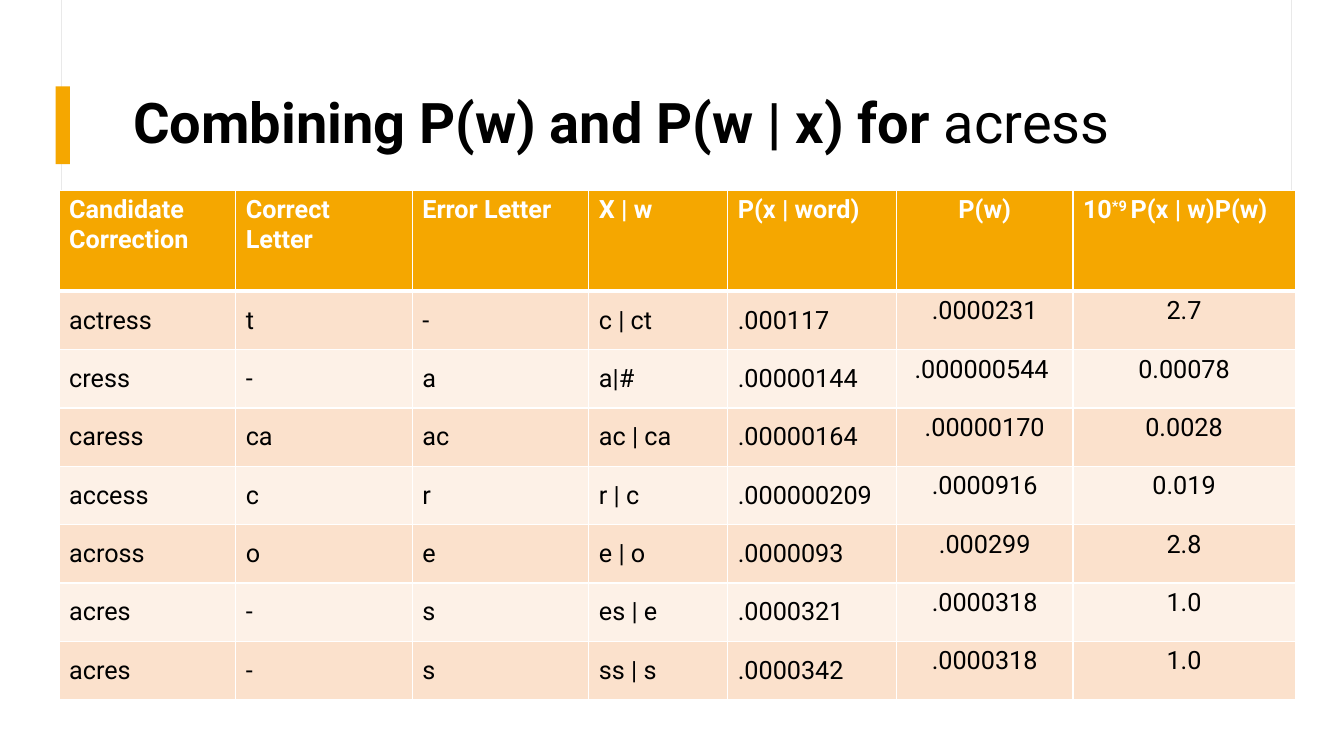
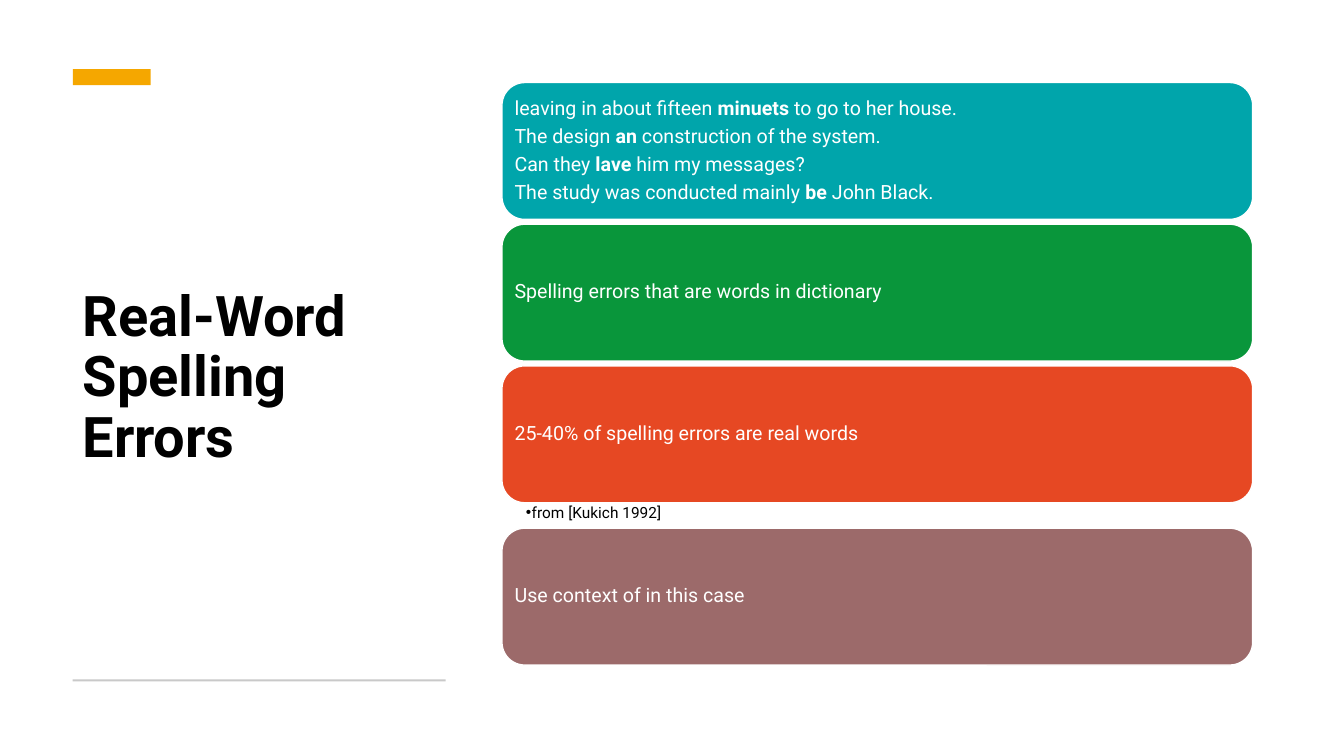
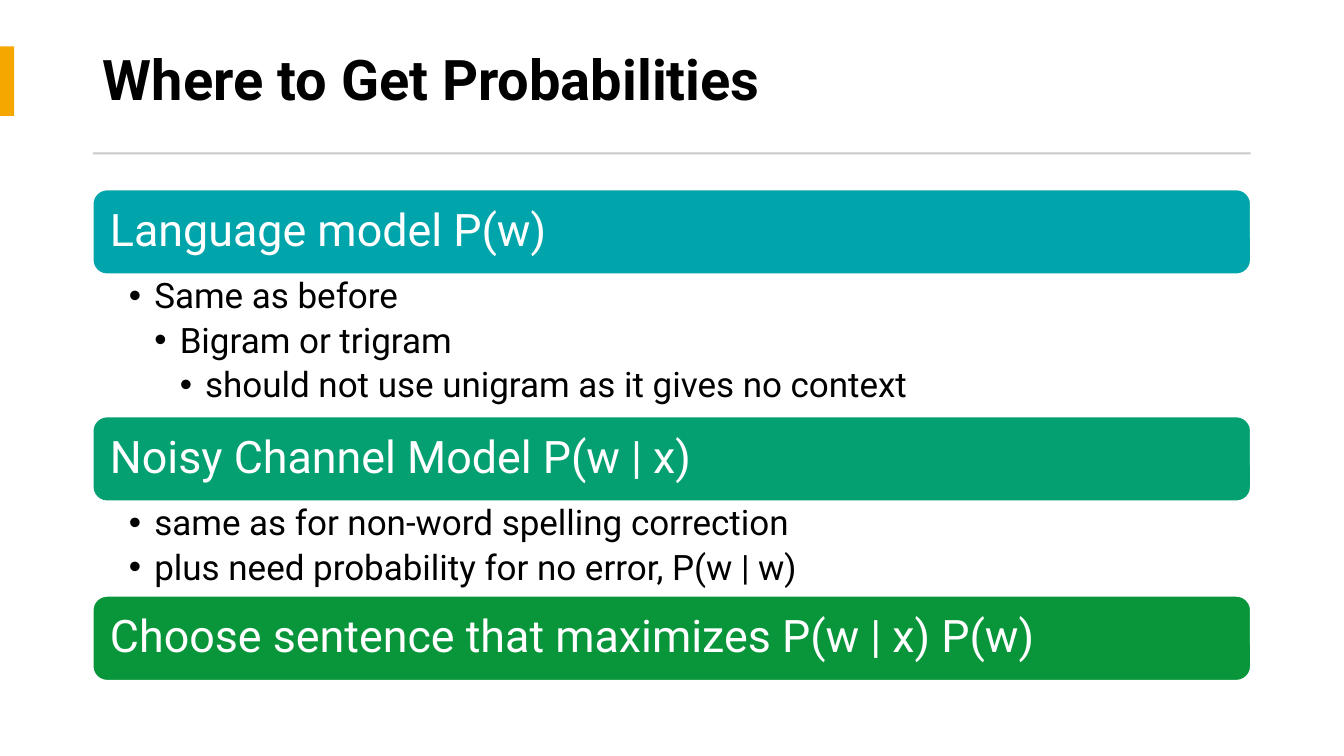
"""Build three slides on spelling correction with a noisy channel model."""
from lxml import etree
from pptx import Presentation
from pptx import util as u
from pptx.dml import color as dml
from pptx.enum import shapes, text
from pptx.oxml import ns

GOLD, GREY, WHITE, BLACK = "F5A700", "C9C9C9", "FFFFFF", "000000"
TEAL, MINT, GREEN, RED, MAUVE = "00A5AB", "05A071", "09963B", "E64823", "9C6A6A"
PEACH, CREAM = "FBE1CC", "FDF1E7"
TOP, MID = text.MSO_ANCHOR.TOP, text.MSO_ANCHOR.MIDDLE
LEFT, CENTER = text.PP_ALIGN.LEFT, text.PP_ALIGN.CENTER


def paint(fill, tone):
    fill.solid()
    fill.fore_color.rgb = dml.RGBColor.from_string(tone)


def put(frame, lines, size=18, tone=BLACK, bold=False, align=LEFT, anchor=MID,
        pads=None, lead=None, after=0, step=0, sup=False):
    """Write lines; "_" toggles bold (or superscript), leading tabs set the level."""
    frame.word_wrap = True
    frame.vertical_anchor = anchor
    if pads:
        (frame.margin_left, frame.margin_top,
         frame.margin_right, frame.margin_bottom) = map(u.Cm, pads)
    for i, line in enumerate(lines):
        para = frame.add_paragraph() if i else frame.paragraphs[0]
        if step:
            level = line.count("\t") + 1
            para.level = level
            props = para._p.get_or_add_pPr()
            props.set("marL", str(u.Cm(step * level)))
            props.set("indent", str(-u.Cm(step)))
            etree.SubElement(props, ns.qn("a:buChar")).set("char", "•")
        para.alignment = align
        para.line_spacing = lead
        para.space_before = u.Pt(0)
        para.space_after = u.Pt(after)
        for j, part in enumerate(line.strip("\t").split("_")):
            run = para.add_run()
            run.text = part
            font = run.font
            font.name, font.size = "Roboto", u.Pt(size)
            mark = j % 2 == 1
            font.bold = bold if sup else bold != mark
            paint(font.fill, tone)
            if sup and mark:
                run._r.get_or_add_rPr().set("baseline", "30000")


prs = Presentation()
prs.slide_width, prs.slide_height = u.Cm(33.87), u.Cm(19.05)

heads = [
    (5, "Combining P(w) and P(w | x) for _acress", (3.1, 1.52, 28.24, 3.28),
     [(GOLD, 1.4, 2.18, 0.36, 1.96)]),
    (1, "Real-Word Spelling Errors", (1.83, 2.67, 9.4, 13.74),
     [(GOLD, 1.84, 1.74, 1.96, 0.41), (GREY, 1.83, 17.12, 9.4, 0.05)]),
    (3, "Where to Get Probabilities", (2.34, 0.69, 29.18, 2.79),
     [(GOLD, 0, 1.17, 0.36, 1.75), (GREY, 2.34, 3.84, 29.18, 0.05)]),
]
slides = []
for layout, words, place, bars in heads:
    slide = prs.slides.add_slide(prs.slide_layouts[layout])
    title = slide.shapes.title
    title.left, title.top, title.width, title.height = map(u.Cm, place)
    put(title.text_frame, [words], size=40, bold=True, lead=0.9)
    title.text_frame.auto_size = text.MSO_AUTO_SIZE.NONE
    if not slides:
        rim = slide.shapes.add_shape(shapes.MSO_SHAPE.RECTANGLE,
                                     u.Cm(1.56), 0, u.Cm(31), u.Cm(5.6))
        rim.shadow.inherit = False
        rim.fill.background()
        paint(rim.line.fill, "E9E9E9")
        rim.line.width = u.Pt(0.75)
    for tone, *spot in bars:
        bar = slide.shapes.add_shape(shapes.MSO_SHAPE.RECTANGLE, *map(u.Cm, spot))
        bar.shadow.inherit = False
        paint(bar.fill, tone)
        bar.line.fill.background()
    slides.append(slide)

rows = [
    ("Candidate Correction", "Correct Letter", "Error Letter", "X | w",
     "P(x | word)", "P(w)", "10_*9 _P(x | w)P(w)"),
    ("actress", "t", "-", "c | ct", ".000117", ".0000231", "2.7"),
    ("cress", "-", "a", "a|#", ".00000144", ".000000544 ", "0.00078"),
    ("caress", "ca", "ac", "ac | ca", ".00000164", ".00000170", "0.0028"),
    ("access", "c", "r", "r | c", ".000000209", ".0000916", "0.019"),
    ("across", "o", "e", "e | o", ".0000093", ".000299", "2.8"),
    ("acres", "-", "s", "es | e", ".0000321", ".0000318", "1.0"),
    ("acres", "-", "s", "ss | s", ".0000342", ".0000318", "1.0"),
]
widths = [4.45, 4.45, 4.45, 3.5, 4.25, 4.45, 5.6]
grid = slides[0].shapes.add_table(len(rows), len(widths), u.Cm(1.49), u.Cm(4.8),
                                  u.Cm(sum(widths)), u.Cm(12.83)).table
grid.horz_banding = False
for col, width in zip(grid.columns, widths):
    col.width = u.Cm(width)
for r, row in enumerate(rows):
    grid.rows[r].height = u.Cm(1.47 if r else 2.54)
    for c, words in enumerate(row):
        cell = grid.cell(r, c)
        put(cell.text_frame, [words], tone=BLACK if r else WHITE, bold=not r, sup=True,
            align=CENTER if c == 5 or (r and c == 6) else LEFT)
        cell.vertical_anchor = MID if r and c < 5 else TOP
        paint(cell.fill, (PEACH if r % 2 else CREAM) if r else GOLD)
        props = cell._tc.get_or_add_tcPr()
        for i, side in enumerate("LRTB"):
            thick = (r, side) in [(0, "B"), (1, "T")]
            edge = etree.Element(ns.qn("a:ln" + side), w=str(u.Pt(3 if thick else 1)))
            fill = etree.SubElement(edge, ns.qn("a:solidFill"))
            etree.SubElement(fill, ns.qn("a:srgbClr")).set("val", WHITE)
            props.insert(i, edge)

errors = [
    (TEAL, ["leaving in about fifteen _minuets_ to go to her house.",
            "The design _an_ construction of the system.",
            "Can they_ lave _him my messages?",
            "The study was conducted mainly _be_ John Black."], 0.12, []),
    (GREEN, ["Spelling errors that are words in dictionary"], 0.12, []),
    (RED, ["25-40% of spelling errors are real words"], 0.64, ["from [Kukich 1992]"]),
    (MAUVE, ["Use context of in this case"], 0, []),
]
models = [
    (TEAL, ["Language model P(w)"], 3.59,
     ["Same as before", "\tBigram or trigram",
      "\t\tshould not use unigram as it gives no context"]),
    (MINT, ["Noisy Channel Model P(w | x)"], 2.39,
     ["same as for non-word spelling correction",
      "plus need probability for no error, P(w | w)"]),
    (GREEN, ["Choose sentence that maximizes P(w | x) P(w)"], 0, []),
]
stacks = [
    (slides[1], errors, 12.65, 2.08, 18.92, 3.45,
     dict(size=14, pads=[0.15] * 4, after=5),
     dict(size=11, pads=(0.6, 0.05, 0.28, 0.05), after=2, step=0.15)),
    (slides[2], models, 2.34, 4.78, 29.18, 2.13,
     dict(size=32, pads=[0.33] * 4, after=11),
     dict(size=25, pads=(0.91, 0.1, 0.64, 0.1), after=5, step=0.64)),
]
for slide, items, left, top, width, high, main, sub in stacks:
    bodies = iter(list(slide.placeholders)[1:])
    for tone, lines, gap, notes in items:
        box = slide.shapes.add_shape(shapes.MSO_SHAPE.ROUNDED_RECTANGLE,
                                     *map(u.Cm, (left, top, width, high)))
        box.shadow.inherit = False
        paint(box.fill, tone)
        paint(box.line.fill, WHITE)
        box.line.width = u.Pt(1)
        put(box.text_frame, lines, tone=WHITE, lead=0.9, **main)
        top += high
        if notes:
            body = next(bodies)
            body.left, body.top, body.width, body.height = map(
                u.Cm, (left, top, width, gap))
            put(body.text_frame, notes, anchor=TOP, lead=0.9, **sub)
            body.text_frame.auto_size = text.MSO_AUTO_SIZE.NONE
        top += gap

prs.save("out.pptx")
